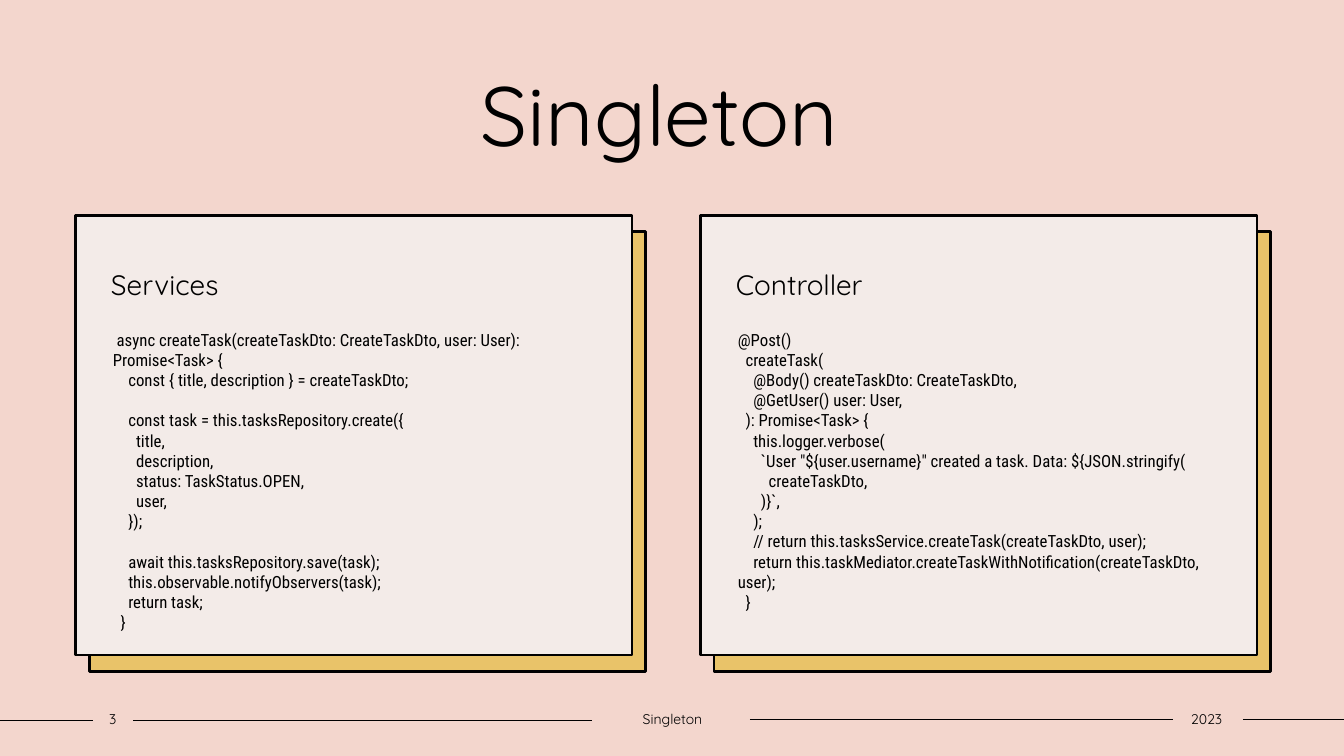
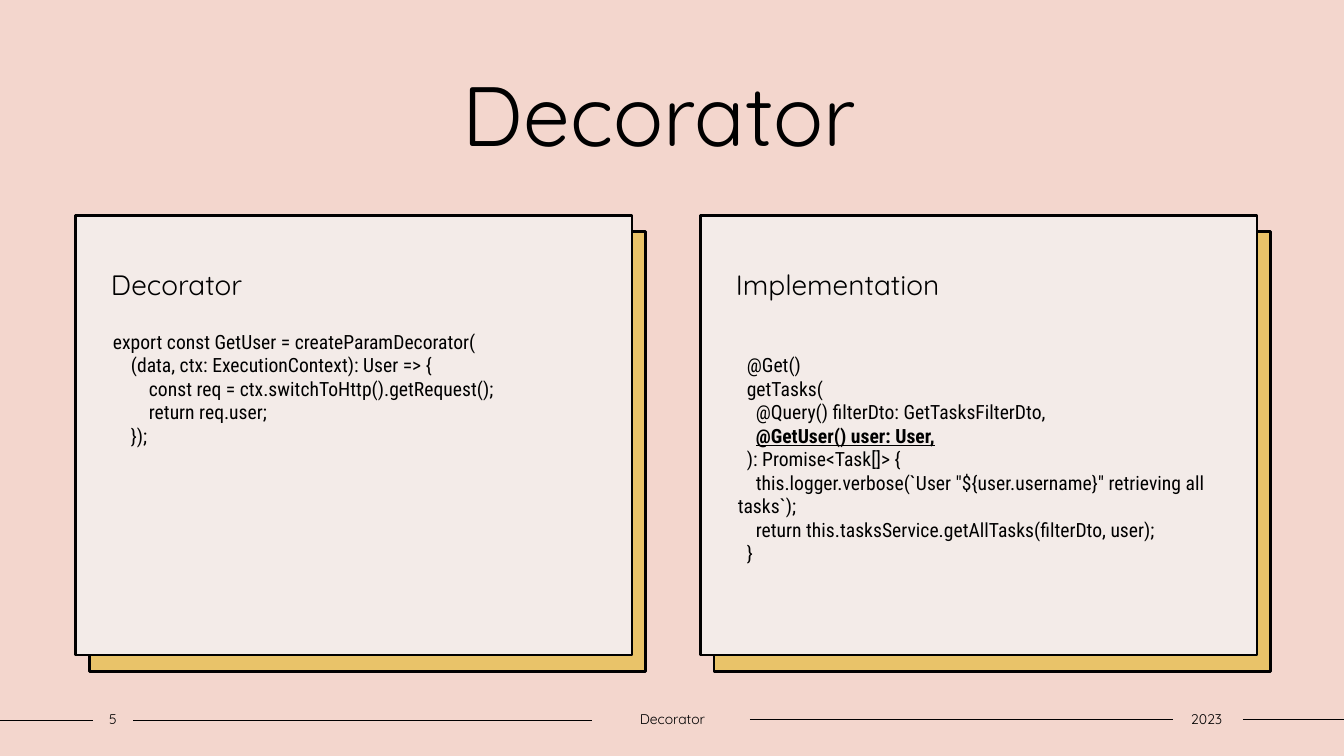
from lxml import etree
from pptx import Presentation, util as u
from pptx.dml.color import RGBColor
from pptx.enum import shapes, text
from pptx.oxml.ns import qn

COLORS = {"page": "F3D6CD", "card": "F3EBE8", "shadow": "E9C369", "ink": "000000"}
DISPLAY, CODE = "Quicksand", "Roboto Condensed"
SPACE_WIDTH, LINE_HEIGHT = 0.23, 1.2

CARD_LEFT, CARD_TOP, CARD_WIDTH, CARD_HEIGHT = 5.63, 28.53, 41.4, 58.13
CARD_STEP = 46.5
SHADOW_RIGHT, SHADOW_DOWN = 1, 2.13
FOOTER_LINES = [(0, 6.9, 95.33), (9.9, 44.03, 95.33), (55.8, 87.3, 95.2), (92.48, 100, 95.2)]

SERVICES = """
 async createTask(createTaskDto: CreateTaskDto, user: User): Promise<Task> {
    const { title, description } = createTaskDto;

    const task = this.tasksRepository.create({
      title,
      description,
      status: TaskStatus.OPEN,
      user,
    });

    await this.tasksRepository.save(task);
    this.observable.notifyObservers(task);
    return task;
  }"""

CONTROLLER = """
@Post()
  createTask(
    @Body() createTaskDto: CreateTaskDto,
    @GetUser() user: User,
  ): Promise<Task> {
    this.logger.verbose(
      `User "${user.username}" created a task. Data: ${JSON.stringify(
        createTaskDto,
      )}`,
    );
    // return this.tasksService.createTask(createTaskDto, user);
    return this.taskMediator.createTaskWithNotification(createTaskDto, user);
  }"""

DECORATOR = """
export const GetUser = createParamDecorator(
    (data, ctx: ExecutionContext): User => {
        const req = ctx.switchToHttp().getRequest();
        return req.user;
    });"""

IMPLEMENTATION = """

  @Get()
  getTasks(
    @Query() filterDto: GetTasksFilterDto,
    @GetUser() user: User,
  ): Promise<Task[]> {
    this.logger.verbose(`User "${user.username}" retrieving all tasks`);
    return this.tasksService.getAllTasks(filterDto, user);
  }"""

PAGES = [
    ("Singleton", "3", 12, None, [("Services", SERVICES), ("Controller", CONTROLLER)]),
    ("Decorator", "5", 14, "@GetUser() user: User,",
     [("Decorator", DECORATOR), ("Implementation", IMPLEMENTATION)]),
]

deck = Presentation()
deck.slide_width, deck.slide_height = u.Inches(13.33), u.Inches(7.5)
backdrop = deck.slide_master.background.fill
backdrop.solid()
backdrop.fore_color.rgb = RGBColor.from_string(COLORS["page"])


def area(left, top, width, height):
    return [round(share * side / 100) for share, side in zip(
        (left, top, width, height), (deck.slide_width, deck.slide_height) * 2)]


def style(para, font, size, align=text.PP_ALIGN.LEFT):
    para.alignment = align
    for span in para.runs:
        span.font.name = font
        span.font.size = u.Pt(size)
        span.font.color.rgb = RGBColor.from_string(COLORS["ink"])


for name, number, code_size, highlight, cards in PAGES:
    page = deck.slides.add_slide(deck.slide_layouts[5])

    for start, end, height in FOOTER_LINES:
        x1, y1, x2, y2 = area(start, height, end, height)
        rule = page.shapes.add_connector(shapes.MSO_CONNECTOR.STRAIGHT, x1, y1, x2, y2)
        rule.line.width = u.Pt(1)
        rule.line.color.rgb = RGBColor.from_string(COLORS["ink"])
        etree.SubElement(rule._element.spPr, qn("a:effectLst"))

    title = page.shapes.title
    title.left, title.top, title.width, title.height = area(8.4, 7.47, 81.3, 14.8)
    title.text_frame.text = name
    title.text_frame.auto_size = text.MSO_AUTO_SIZE.NONE
    title.text_frame.vertical_anchor = text.MSO_ANCHOR.MIDDLE
    style(title.text_frame.paragraphs[0], DISPLAY, 60, text.PP_ALIGN.CENTER)

    for column, (heading, code) in enumerate(cards):
        left = CARD_LEFT + column * CARD_STEP
        for fill, right, down in (("shadow", SHADOW_RIGHT, SHADOW_DOWN), ("card", 0, 0)):
            card = page.shapes.add_shape(
                shapes.MSO_SHAPE.RECTANGLE,
                *area(left + right, CARD_TOP + down, CARD_WIDTH, CARD_HEIGHT))
            card.shadow.inherit = False
            card.fill.solid()
            card.fill.fore_color.rgb = RGBColor.from_string(COLORS[fill])
            card.line.color.rgb = RGBColor.from_string(COLORS["ink"])
            card.line.width = u.Pt(2)

        frame = card.text_frame
        frame.text = heading
        frame.vertical_anchor = text.MSO_ANCHOR.TOP
        frame.margin_left, frame.margin_top = u.Inches(0.35), u.Inches(0.55)
        frame.paragraphs[0].line_spacing = 0.9
        style(frame.paragraphs[0], DISPLAY, 20)

        frame = page.shapes.add_textbox(*area(left + 2.03, 42.93, 37.8, 40.67)).text_frame
        frame.word_wrap = True
        para, gap = None, 0
        for line in code.split("\n")[1:]:
            words = line.lstrip()
            if not words:
                gap = u.Pt(code_size * LINE_HEIGHT)
                continue
            if para is None:
                para = frame.paragraphs[0]
                frame.margin_top += gap
            else:
                para = frame.add_paragraph()
                para.space_before = gap
            gap = 0
            para.text = words
            style(para, CODE, code_size)
            indent = u.Pt((len(line) - len(words)) * SPACE_WIDTH * code_size)
            para._p.get_or_add_pPr().set("indent", str(indent))
            if words == highlight:
                para.runs[0].font.bold = True
                para.runs[0].font.underline = True

    for label, left, width in ((number, 6.9, 3), (name, 44.03, 12), ("2023", 87.15, 5.25)):
        frame = page.shapes.add_textbox(*area(left, 93.33, width, 3.6)).text_frame
        frame.word_wrap = True
        frame.margin_left = frame.margin_right = 0
        frame.vertical_anchor = text.MSO_ANCHOR.MIDDLE
        frame.text = label
        style(frame.paragraphs[0], DISPLAY, 10, text.PP_ALIGN.CENTER)

deck.save("out.pptx")
